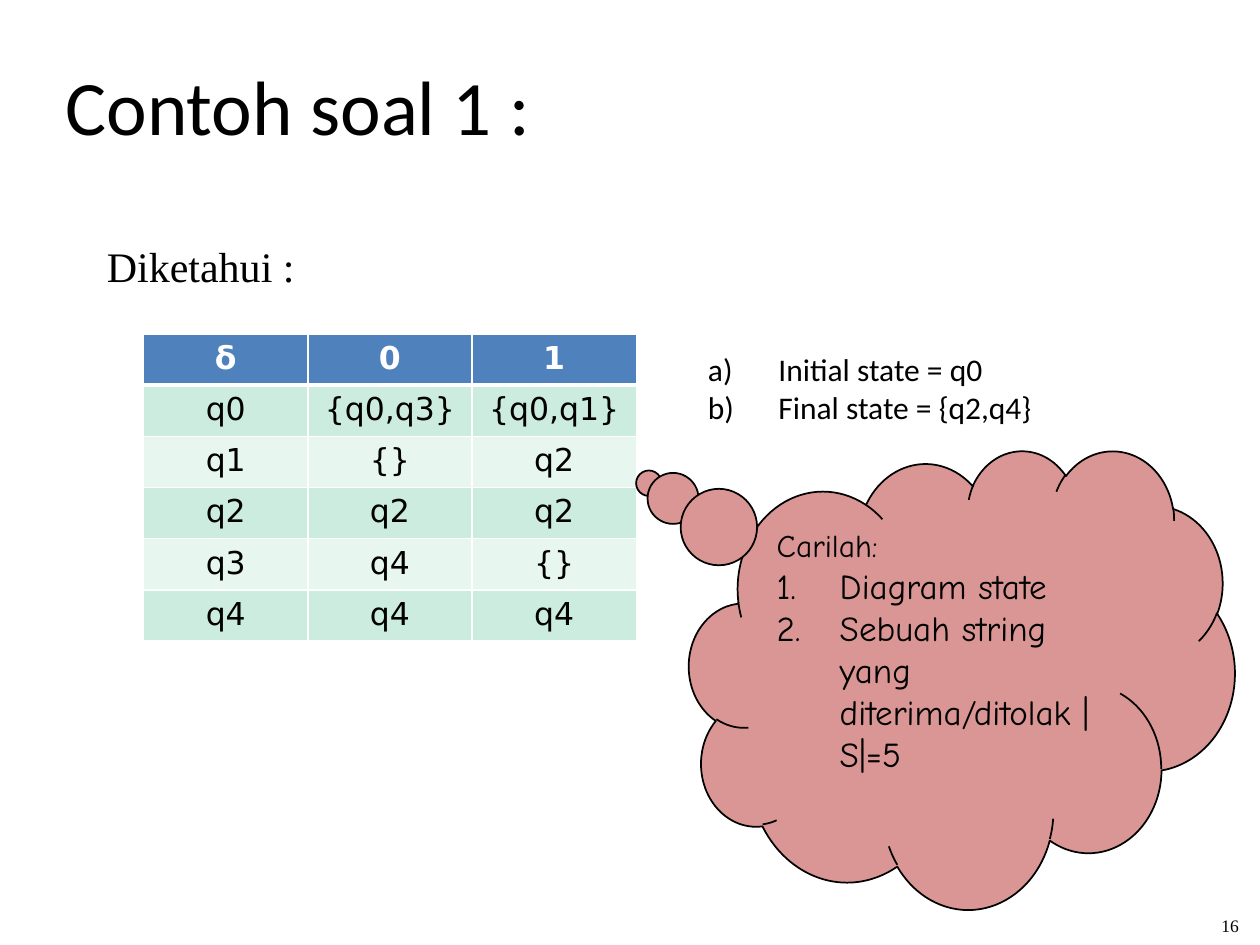
import pptx
import pptx.dml.color
import pptx.enum.shapes
import pptx.enum.text
import pptx.oxml.ns
import pptx.util
from lxml import etree

Inches = pptx.util.Inches
Pt = pptx.util.Pt
Align = pptx.enum.text.PP_ALIGN
Anchor = pptx.enum.text.MSO_ANCHOR
qn = pptx.oxml.ns.qn

COLORS = {
    "ink": "000000",
    "white": "FFFFFF",
    "head": "4F81BD",
    "odd": "CBECDE",
    "even": "E7F6EF",
    "cloud": "D99694",
}
ROWS = [
    ["δ", "0", "1"],
    ["q0", "{q0,q3}", "{q0,q1}"],
    ["q1", "{}", "q2"],
    ["q2", "q2", "q2"],
    ["q3", "q4", "{}"],
    ["q4", "q4", "q4"],
]


def color(name):
    return pptx.dml.color.RGBColor.from_string(COLORS[name])


def write(para, text, size=18, face="Calibri", ink="ink", bold=False,
          align=Align.LEFT, number=None, left=0, hang=0):
    para.alignment = align
    if number:
        props = para._p.get_or_add_pPr()
        props.set("marL", str(Inches(left)))
        props.set("indent", str(-Inches(hang)))
        etree.SubElement(props, qn("a:buFont"), typeface="+mj-lt")
        etree.SubElement(props, qn("a:buAutoNum"), type=number)
    run = para.add_run()
    run.text = text
    run.font.size = Pt(size)
    run.font.name = face
    run.font.bold = bold
    run.font.color.rgb = color(ink)


def label(slide, box, text, wrap=True, anchor=Anchor.TOP, **style):
    frame = slide.shapes.add_textbox(*map(Inches, box)).text_frame
    frame.word_wrap = wrap
    frame.vertical_anchor = anchor
    write(frame.paragraphs[0], text, **style)
    return frame


def title(slide, box, text):
    shape = slide.shapes.title
    shape.left, shape.top, shape.width, shape.height = map(Inches, box)
    frame = shape.text_frame
    frame.auto_size = pptx.enum.text.MSO_AUTO_SIZE.NONE
    frame.vertical_anchor = Anchor.MIDDLE
    write(frame.paragraphs[0], text, size=44)


def border(cell, row):
    props = cell._tc.get_or_add_tcPr()
    thick = {"lnT": row == 1, "lnB": row == 0}
    for side in ("lnL", "lnR", "lnT", "lnB"):
        width = Pt(3 if thick.get(side) else 1)
        line = etree.SubElement(props, qn("a:" + side), w=str(width))
        fill = etree.SubElement(line, qn("a:solidFill"))
        etree.SubElement(fill, qn("a:srgbClr"), val=COLORS["white"])


def grid(slide, box, rows):
    table = slide.shapes.add_table(len(rows), len(rows[0]), *map(Inches, box)).table
    for r, row in enumerate(rows):
        shade = "head" if r == 0 else "odd" if r % 2 else "even"
        for c, text in enumerate(row):
            cell = table.cell(r, c)
            border(cell, r)
            cell.fill.solid()
            cell.fill.fore_color.rgb = color(shade)
            write(cell.text_frame.paragraphs[0], text, face="DejaVu Sans",
                  ink="ink" if r else "white", bold=r == 0, align=Align.CENTER)


def states(slide, box):
    style = {"number": "alphaLcParenR", "left": 1, "hang": 0.56}
    frame = label(slide, box, "Initial state = q0", **style)
    write(frame.add_paragraph(), "Final state = {q2,q4}", **style)


def cloud(slide, box, head, tasks):
    kind = pptx.enum.shapes.MSO_SHAPE.CLOUD_CALLOUT
    shape = slide.shapes.add_shape(kind, *map(Inches, box))
    shape.adjustments[0] = -0.574
    shape.adjustments[1] = -0.427
    shape.shadow.inherit = False
    shape.fill.solid()
    shape.fill.fore_color.rgb = color("cloud")
    shape.line.color.rgb = color("ink")
    shape.line.width = Pt(1)
    frame = shape.text_frame
    frame.word_wrap = True
    frame.vertical_anchor = Anchor.MIDDLE
    frame.margin_bottom = Inches(0.34)
    write(frame.paragraphs[0], head, face="Comic Neue")
    for task in tasks:
        write(frame.add_paragraph(), task, size=20, face="Comic Neue",
              number="arabicPeriod", left=0.5, hang=0.5)


def main():
    deck = pptx.Presentation()
    deck.slide_width, deck.slide_height = Inches(10), Inches(7.5)
    slide = deck.slides.add_slide(deck.slide_layouts[5])
    label(slide, (7.66, 7.19, 2.27, 0.31), "16", anchor=Anchor.MIDDLE,
          size=10, face="Times New Roman", align=Align.RIGHT)
    title(slide, (0.42, 0.33, 9.25, 1), "Contoh soal 1 :")
    grid(slide, (1.14, 2.65, 3.91, 2.44), ROWS)
    label(slide, (0.75, 1.86, 1.7, 0.51), "Diketahui :", wrap=False,
          size=24, face="Times New Roman")
    states(slide, (5.08, 2.73, 4.25, 0.91))
    cloud(slide, (5.47, 3.57, 4.33, 3.64), "Carilah:",
          ["Diagram state", "Sebuah string yang diterima/ditolak |S|=5"])
    deck.save("out.pptx")


if __name__ == "__main__":
    main()
